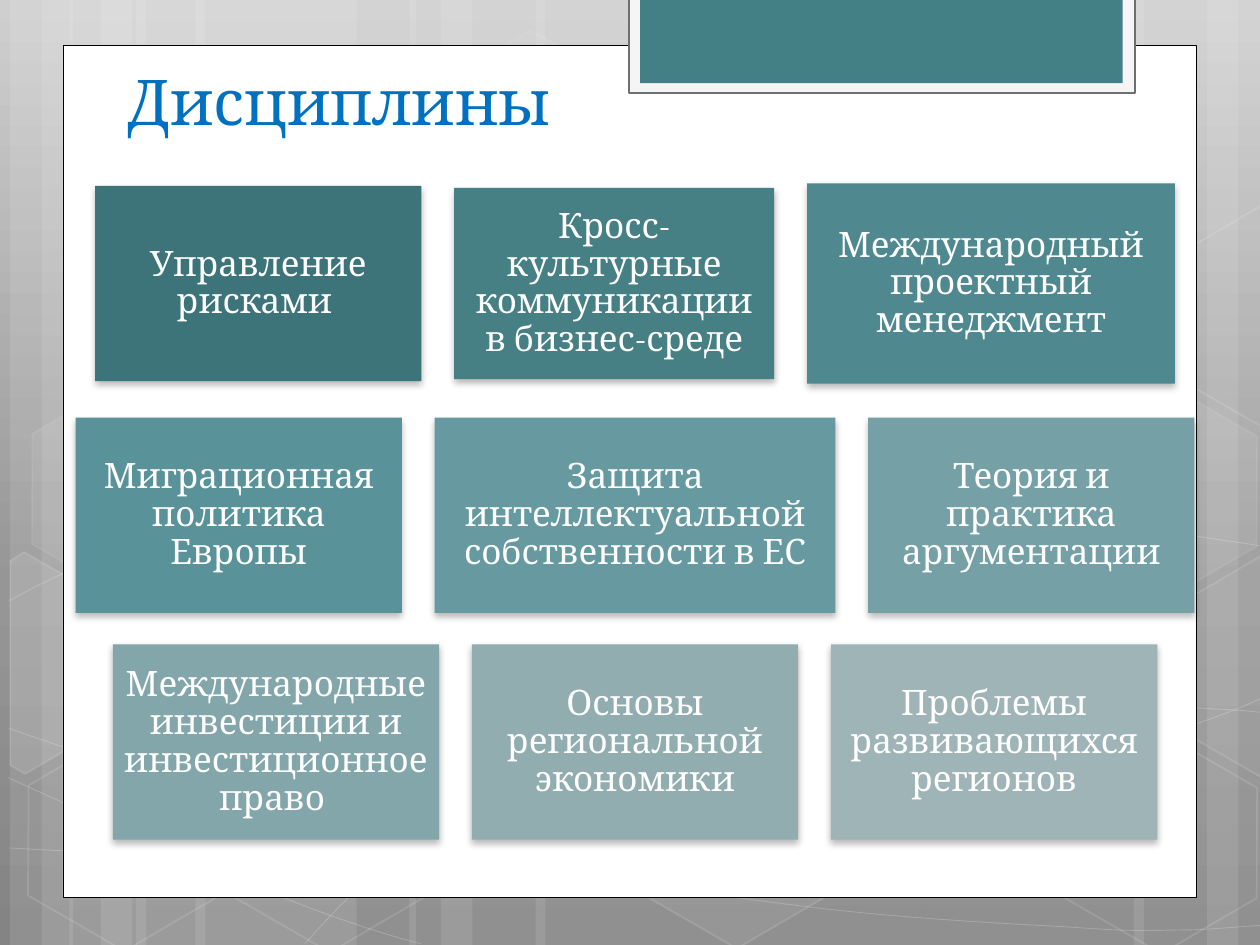
import copy
import dataclasses
import math
import typing

import lxml.etree
import pptx
import pptx.dml.color
import pptx.enum.shapes
import pptx.enum.text
import pptx.oxml.ns
import pptx.util

Inches = pptx.util.Inches
Pt = pptx.util.Pt
qn = pptx.oxml.ns.qn
SHAPE = pptx.enum.shapes.MSO_SHAPE
ANCHOR = pptx.enum.text.MSO_ANCHOR
ALIGN = pptx.enum.text.PP_ALIGN
Point = tuple[float, float]

WHITE = "FFFFFF"
FONT = "Cambria"
TILT = 30
CARD_GAP = 0.26
CARDS_CENTER = 5.04


@dataclasses.dataclass
class Hexagon:
    left: float
    top: float
    fill_opacity: float
    line_opacity: float


@dataclasses.dataclass
class CutHexagon:
    """A hexagon cut off by the slide's edge, tilted about its pivot."""
    pivot: Point
    points: list[Point]
    fill_opacity: float


@dataclasses.dataclass
class Card:
    text: str
    fill: str
    width: float = 2.59
    height: float = 1.55


@dataclasses.dataclass
class CardRow:
    middle: float
    cards: list[Card]


STRIPS = [(1.08, 1.75), (0.08, 0.5), (0.33, 0.83), (1.55, 1.75), (0.55, 0.5),
          (0.8, 0.83), (7.33, 1.75), (9.58, 0.5), (9, 0.83), (4.25, 3.08),
          (3.25, 0.5), (3.5, 0.83)]

# Each curve is a start point followed by Bezier triples.
CURVES = [
    [(0.07, 6.73), (0.61, 6.76), (1.15, 6.79), (1.9, 6.78), (2.65, 6.77), (3.58, 6.75),
     (4.58, 6.65), (5.58, 6.55), (7, 6.36), (7.92, 6.17), (8.83, 5.98), (9.77, 5.68),
     (10.07, 5.51)],
    [(0.07, 4.77), (0.36, 4.61), (0.65, 4.46), (1.21, 4.31), (1.78, 4.16), (2.59, 3.94),
     (3.47, 3.87), (4.36, 3.8), (5.44, 3.79), (6.54, 3.87), (7.64, 3.95), (9.47, 4.26),
     (10.07, 4.34)],
    [(0.06, 6.17), (1.27, 6.72), (2.47, 7.27), (3.34, 7.49)],
    [(0.07, 5.78), (0.38, 5.89), (0.7, 6), (1.28, 6.16), (1.86, 6.31), (2.73, 6.56),
     (3.57, 6.73), (4.4, 6.9), (5.45, 7.08), (6.28, 7.18), (7.11, 7.29), (8, 7.33),
     (8.53, 7.36), (9.05, 7.4), (9.19, 7.38), (9.45, 7.38), (9.71, 7.37), (9.89, 7.35),
     (10.07, 7.34)],
    [(2.42, 7.49), (2.6, 7.29), (2.78, 7.09), (3.02, 6.91), (3.26, 6.73), (3.6, 6.53),
     (3.88, 6.39), (4.16, 6.25), (4.33, 6.19), (4.7, 6.09), (5.06, 5.99), (5.73, 5.85),
     (6.08, 5.78), (6.44, 5.71), (6.49, 5.71), (6.8, 5.69), (7.11, 5.66), (7.6, 5.63),
     (7.94, 5.62), (8.29, 5.61), (8.86, 5.62), (8.86, 5.62), (9.08, 5.62), (9.31, 5.62),
     (9.53, 5.62), (9.71, 5.63), (9.88, 5.64), (9.97, 5.65), (10.06, 5.66), (10.03, 5.65),
     (10.06, 5.66)],
]

HEXAGONS = [
    Hexagon(3.34, 0.36, 4, 8), Hexagon(4.97, 5.89, 6, 12), Hexagon(0.11, 5.91, 0, 12),
    Hexagon(0.14, 3.12, 7, 8), Hexagon(1.74, 5.92, 0, 12), Hexagon(7.53, 4.53, 10, 12),
    Hexagon(8.34, 5.93, 0, 12), Hexagon(8.34, 3.14, 7, 8),
]

CUT_HEXAGONS = [
    CutHexagon((0.36, 5.35), [(0.08, 4.45), (0.19, 4.38), (0.96, 4.82), (0.95, 5.7),
                              (0.2, 6.14), (0.08, 6.07)], 10),
    CutHexagon((9.85, 5.2), [(9.26, 4.85), (10.01, 4.41), (10.09, 4.46), (10.09, 6.13),
                             (10.02, 6.17), (9.26, 5.73)], 4),
    CutHexagon((9.85, 2.41), [(9.26, 2.07), (10.01, 1.63), (10.1, 1.68), (10.09, 3.35),
                              (10.02, 3.39), (9.26, 2.95)], 0),
]

CARD_ROWS = [
    CardRow(2.25, [
        Card("Управление рисками ", "3D747A"),
        Card("Кросс-культурные коммуникации в бизнес-среде", "467F84", 2.54, 1.52),
        Card("Международный проектный менеджмент", "4F898F", 2.92, 1.59)]),
    CardRow(4.09, [
        Card("Миграционная политика Европы", "599298"),
        Card("Защита интеллектуальной собственности в ЕС", "669AA0", 3.18),
        Card("Теория и практика аргументации", "75A0A5")]),
    CardRow(5.89, [
        Card("Международные инвестиции и инвестиционное право ", "83A6AA"),
        Card("Основы региональной экономики", "91ADB0"),
        Card("Проблемы развивающихся регионов", "9FB4B6")]),
]


def color(value: str) -> pptx.dml.color.RGBColor:
    return pptx.dml.color.RGBColor.from_string(value)


def style(shape, fill: typing.Optional[str], line: typing.Optional[str] = None,
          width: float = 1, fill_opacity: float = 100, line_opacity: float = 100) -> None:
    """Set fill and line, with opacities in percent; zero or None means none."""
    shape.shadow.inherit = False
    for target, value, opacity in ((shape.fill, fill, fill_opacity),
                                   (shape.line.fill, line, line_opacity)):
        if not value or not opacity:
            target.background()
            continue
        target.solid()
        target.fore_color.rgb = color(value)
        if opacity < 100:
            tint = list(shape._element.spPr.iter(qn("a:srgbClr")))[-1]
            lxml.etree.SubElement(tint, qn("a:alpha"), val=str(int(opacity * 1000)))
    if line:
        shape.line.width = Pt(width)


def add_preset(page, kind, left: float, top: float, width: float, height: float):
    return page.shapes.add_shape(kind, Inches(left), Inches(top), Inches(width), Inches(height))


def add_outline(page, points: list[Point], close: bool):
    start, *rest = [(Inches(x), Inches(y)) for x, y in points]
    builder = page.shapes.build_freeform(*start)
    builder.add_line_segments(rest, close=close)
    return builder.convert_to_shape()


def add_curve(page, points: list[Point]):
    """Draw an outline, then join each three segments into one Bezier."""
    curve = add_outline(page, points, False)
    segments = list(curve._element.iter(qn("a:lnTo")))
    for first in range(0, len(segments), 3):
        bezier = lxml.etree.Element(qn("a:cubicBezTo"))
        segments[first].addprevious(bezier)
        for segment in segments[first:first + 3]:
            bezier.append(segment[0])
            segment.getparent().remove(segment)
    return curve


def turn(point: Point, pivot: Point, degrees: float) -> Point:
    angle = math.radians(degrees)
    x, y = point[0] - pivot[0], point[1] - pivot[1]
    return (pivot[0] + x * math.cos(angle) - y * math.sin(angle),
            pivot[1] + x * math.sin(angle) + y * math.cos(angle))


def add_span(para, text: str, size: float, hue: str) -> None:
    span = para.add_run()
    span.text = text
    span.font.name = FONT
    span.font.size = Pt(size)
    span.font.color.rgb = color(hue)


def set_background(page) -> None:
    fill = page.background.fill
    fill.gradient()
    fill.gradient_angle = 270
    first = next(page._element.iter(qn("a:gs")))
    first.addnext(copy.deepcopy(first))
    stops = ((0, "CFCFCF"), (0.62, "969696"), (1, "848484"))
    for stop, (position, hue) in zip(fill.gradient_stops, stops):
        stop.position = position
        stop.color.rgb = color(hue)


def draw_backdrop(page) -> None:
    for left, width in STRIPS:
        style(add_preset(page, SHAPE.RECTANGLE, left, 0, width, 7.5), WHITE, fill_opacity=10)
    for curve in CURVES:
        style(add_curve(page, curve), None, WHITE, 0.5, line_opacity=20)
    for item in HEXAGONS:
        hexagon = add_preset(page, SHAPE.HEXAGON, item.left, item.top, 1.75, 1.52)
        hexagon.rotation = TILT
        hexagon.adjustments[0] = 0.285
        style(hexagon, WHITE, WHITE, 1, item.fill_opacity, item.line_opacity)
    for item in CUT_HEXAGONS:
        level = [turn(point, item.pivot, -TILT) for point in item.points]
        hexagon = add_outline(page, level + level[:1], True)
        hexagon.rotation = TILT
        style(hexagon, WHITE, WHITE, 1, item.fill_opacity, 12)
    style(add_preset(page, SHAPE.RECTANGLE, 0.5, 0.36, 9, 6.76), WHITE, "000000", 0.5)
    style(add_preset(page, SHAPE.RECTANGLE, 4.99, -0.02, 4.02, 0.76), "F5F5F5", "6F6F6F", 1.25)
    style(add_preset(page, SHAPE.RECTANGLE, 5.08, -0.02, 3.83, 0.68), "438086")


def draw_title(page) -> None:
    title = page.shapes.title
    page.shapes._spTree.append(title._element)  # bring in front of the backdrop
    title.left, title.top, title.width, title.height = map(Inches, (0.91, 0.52, 7.68, 0.63))
    title.text_frame.vertical_anchor = ANCHOR.BOTTOM
    para = title.text_frame.paragraphs[0]
    para.alignment = ALIGN.LEFT
    add_span(para, "Дисциплины", 36, "0070C0")


def add_shadow(shape) -> None:
    effects = shape._element.spPr.find(qn("a:effectLst"))
    shadow = lxml.etree.SubElement(effects, qn("a:outerShdw"), blurRad=str(Pt(4)),
                                   dist=str(Pt(2)), dir="5400000", rotWithShape="0")
    tint = lxml.etree.SubElement(shadow, qn("a:srgbClr"), val="000000")
    lxml.etree.SubElement(tint, qn("a:alpha"), val="28000")


def draw_card(page, card: Card, left: float, top: float) -> None:
    box = add_preset(page, SHAPE.RECTANGLE, left, top, card.width, card.height)
    style(box, card.fill)
    add_shadow(box)
    frame = box.text_frame
    frame.word_wrap = True
    frame.vertical_anchor = ANCHOR.MIDDLE
    frame.margin_left = frame.margin_right = Inches(0.08)
    frame.margin_top = frame.margin_bottom = Inches(0.08)
    para = frame.paragraphs[0]
    para.alignment = ALIGN.CENTER
    para.line_spacing = 0.9
    add_span(para, card.text, 20, WHITE)


def draw_row(page, row: CardRow) -> None:
    total = sum(card.width for card in row.cards) + CARD_GAP * (len(row.cards) - 1)
    left = CARDS_CENTER - total / 2
    for card in row.cards:
        draw_card(page, card, left, row.middle - card.height / 2)
        left += card.width + CARD_GAP


def main() -> None:
    deck = pptx.Presentation()
    deck.slide_width, deck.slide_height = Inches(10), Inches(7.5)
    page = deck.slides.add_slide(deck.slide_layouts[5])
    set_background(page)
    draw_backdrop(page)
    draw_title(page)
    for row in CARD_ROWS:
        draw_row(page, row)
    deck.save("out.pptx")


if __name__ == "__main__":
    main()
